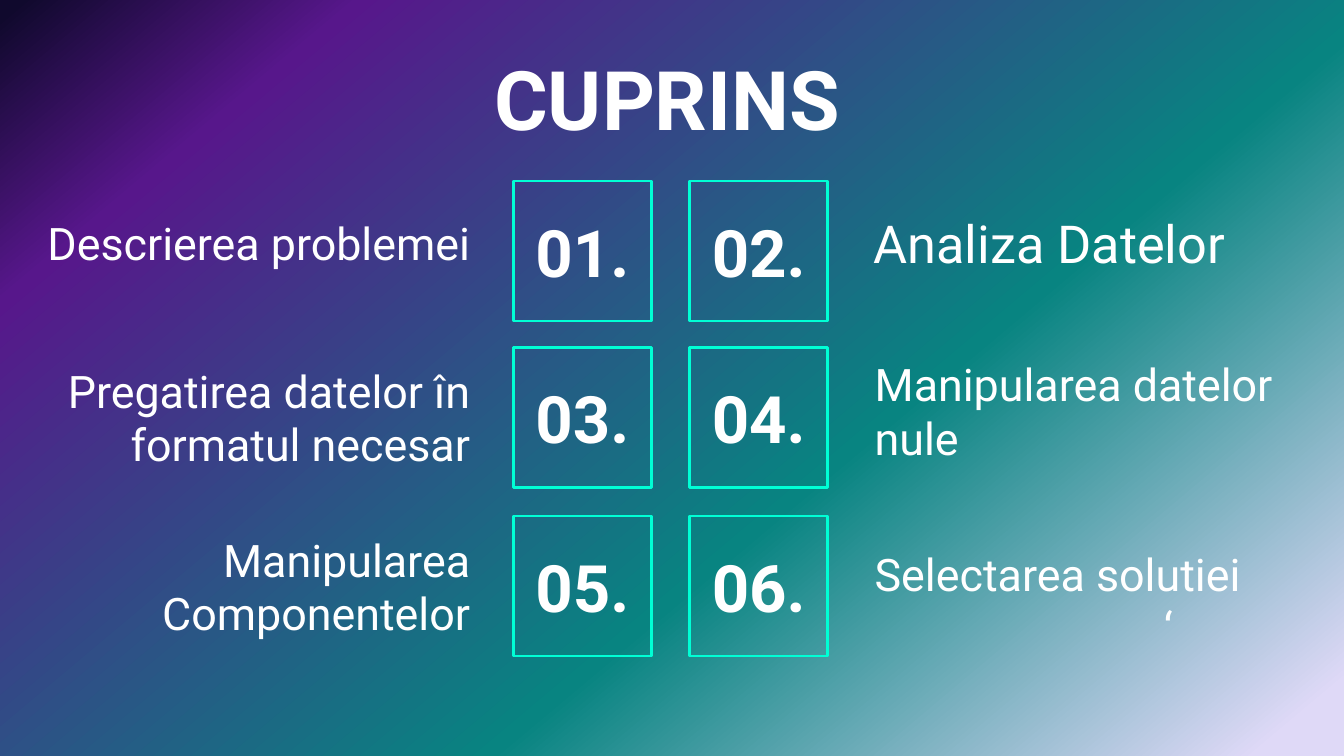
from copy import deepcopy
from dataclasses import dataclass

from pptx import Presentation
from pptx.dml.color import RGBColor
from pptx.enum.shapes import MSO_SHAPE
from pptx.enum.text import MSO_ANCHOR, MSO_AUTO_SIZE, PP_ALIGN
from pptx.oxml.ns import qn
from pptx.slide import Slide
from pptx.text.text import TextFrame
from pptx.util import Pt


@dataclass(frozen=True)
class Theme:
    font: str = "Roboto"
    text: RGBColor = RGBColor.from_string("FFFFFF")
    frame: RGBColor = RGBColor.from_string("00FFD5")
    gradient: tuple = ((0.01, "10092D"), (0.16, "57178B"),
                       (0.62, "088481"), (0.96, "DFD9F7"))
    gradient_angle: int = 310
    title_size: int = 44
    number_size: int = 35
    entry_size: int = 24
    large_entry_size: int = 28


@dataclass(frozen=True)
class Entry:
    text: str
    left: float
    width: float
    height: float
    size: int = Theme.entry_size


THEME = Theme()
NUMBER_LEFTS = (275, 369.5)
ROW_TOPS = (97, 186, 276.5)
NUMBER_WIDTH, NUMBER_HEIGHT = 74, 75
MARGIN = 7.2
STRAY_MARK_INDENT = 155

ENTRIES = (
    Entry("Descrierea problemei", 10, 249, 66),
    Entry("Analiza Datelor", 461, 225, 66, THEME.large_entry_size),
    Entry("Pregatirea datelor în formatul necesar", 20, 239, 75),
    Entry("Manipularea datelor nule", 461.5, 230, 68),
    Entry("Manipularea Componentelor", 10, 249, 75),
    Entry("Selectarea solutiei\n‘", 461.5, 230, 90),
)


def paint_background(slide: Slide) -> None:
    fill = slide.background.fill
    fill.gradient()
    fill.gradient_angle = THEME.gradient_angle
    stop_list = slide.element.find(".//" + qn("a:gsLst"))
    while len(stop_list) < len(THEME.gradient):
        stop_list.append(deepcopy(stop_list[-1]))
    for stop, (position, color) in zip(fill.gradient_stops, THEME.gradient):
        stop.position = position
        stop.color.rgb = RGBColor.from_string(color)


def write(frame: TextFrame, text: str, size: int, align: PP_ALIGN,
          bold: bool = False) -> None:
    frame.text = text
    frame.word_wrap = True
    frame.auto_size = MSO_AUTO_SIZE.NONE
    frame.vertical_anchor = MSO_ANCHOR.MIDDLE
    frame.margin_left = frame.margin_right = Pt(MARGIN)
    frame.margin_top = frame.margin_bottom = Pt(MARGIN)
    for paragraph in frame.paragraphs:
        paragraph.alignment = align
        font = paragraph.font
        font.name, font.size, font.bold = THEME.font, Pt(size), bold
        font.color.rgb = THEME.text


def draw_title(slide: Slide, text: str) -> None:
    title = slide.shapes.title
    title.left, title.top = Pt(54), Pt(29.5)
    title.width, title.height = Pt(607), Pt(45.5)
    write(title.text_frame, text, THEME.title_size, PP_ALIGN.CENTER, bold=True)


def draw_number(slide: Slide, number: int, left: float, top: float) -> None:
    square = slide.shapes.add_shape(MSO_SHAPE.RECTANGLE, Pt(left), Pt(top),
                                    Pt(NUMBER_WIDTH), Pt(NUMBER_HEIGHT))
    square.shadow.inherit = False
    square.fill.background()
    square.line.color.rgb = THEME.frame
    square.line.width = Pt(1.5)
    write(square.text_frame, f"{number:02}.", THEME.number_size,
          PP_ALIGN.CENTER, bold=True)


def draw_entry(slide: Slide, entry: Entry, top: float, align: PP_ALIGN) -> None:
    """Write an entry; any paragraph after the first is indented."""
    box = slide.shapes.add_textbox(Pt(entry.left), Pt(top),
                                   Pt(entry.width), Pt(entry.height))
    write(box.text_frame, entry.text, entry.size, align)
    for paragraph in box.text_frame.paragraphs[1:]:
        properties = paragraph._p.get_or_add_pPr()
        properties.set("marL", str(Pt(STRAY_MARK_INDENT)))


def main() -> None:
    deck = Presentation()
    deck.slide_width, deck.slide_height = Pt(720), Pt(405)
    slide = deck.slides.add_slide(deck.slide_layouts.get_by_name("Title Only"))
    paint_background(slide)
    draw_title(slide, "CUPRINS")
    for index, entry in enumerate(ENTRIES):
        row, column = divmod(index, len(NUMBER_LEFTS))
        draw_number(slide, index + 1, NUMBER_LEFTS[column], ROW_TOPS[row])
        align = (PP_ALIGN.RIGHT, PP_ALIGN.LEFT)[column]
        draw_entry(slide, entry, ROW_TOPS[row], align)
    deck.save("out.pptx")


if __name__ == "__main__":
    main()
